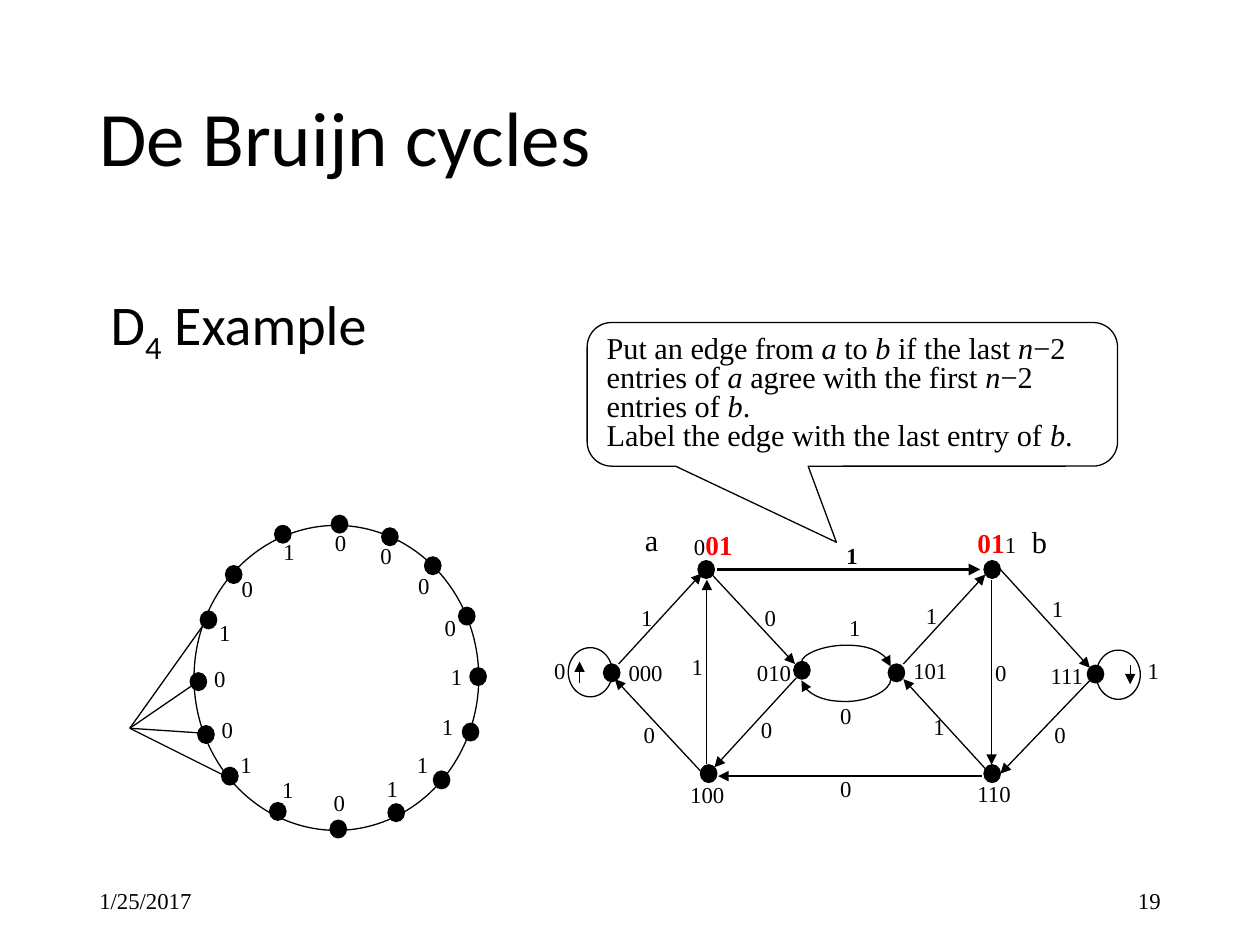
from lxml.etree import SubElement
from pptx import Presentation
from pptx.dml.color import RGBColor
from pptx.enum.shapes import MSO_CONNECTOR, MSO_SHAPE
from pptx.enum.text import MSO_ANCHOR, MSO_AUTO_SIZE, PP_ALIGN
from pptx.oxml.ns import qn
from pptx.util import Inches, Pt

BLACK, RED = "000000", "FF0000"
SERIF, SANS = "Times New Roman", "Calibri"
DOT_W, DOT_H = 0.13, 0.14
DIGIT_W = {"0": 0.25, "1": 0.2}


def rgb(hex_color):
    return RGBColor.from_string(hex_color)


class Board:
    """Holds the style and the slide being drawn."""

    def __init__(self, slide, line_width=0.75, size=13, font=SERIF):
        self.s = slide
        self.line_width = line_width
        self.size = size
        self.font = font

    def run(self, p, text, size=None, font=None, color=BLACK, bold=False, italic=False):
        r = p.add_run()
        r.text = text
        r.font.size = Pt(size or self.size)
        r.font.name = font or self.font
        r.font.color.rgb = rgb(color)
        r.font.bold = bold
        r.font.italic = italic
        return r

    def box(self, x, y, w, h, anchor=MSO_ANCHOR.TOP, wrap=True, grow=True):
        """Adds a text box and returns its first paragraph."""
        tf = self.s.shapes.add_textbox(Inches(x), Inches(y), Inches(w), Inches(h)).text_frame
        tf.word_wrap = wrap
        tf.vertical_anchor = anchor
        tf.auto_size = MSO_AUTO_SIZE.SHAPE_TO_FIT_TEXT if grow else MSO_AUTO_SIZE.NONE
        return tf.paragraphs[0]

    def label(self, x, y, text, w=None, h=0.32, wrap=True, **style):
        p = self.box(x, y, w or DIGIT_W[text], h, wrap=wrap)
        self.run(p, text, **style)

    def shape(self, kind, x, y, w, h, fill=None):
        sp = self.s.shapes.add_shape(kind, Inches(x), Inches(y), Inches(w), Inches(h))
        sp.shadow.inherit = False
        if fill:
            sp.fill.solid()
            sp.fill.fore_color.rgb = rgb(fill)
        else:
            sp.fill.background()
        sp.line.color.rgb = rgb(BLACK)
        sp.line.width = Pt(self.line_width)
        return sp

    def dot(self, x, y):
        self.shape(MSO_SHAPE.OVAL, x, y, DOT_W, DOT_H, BLACK)

    def line(self, x1, y1, x2, y2, arrow=True, width=None, kind=MSO_CONNECTOR.STRAIGHT):
        c = self.s.shapes.add_connector(kind, Inches(x1), Inches(y1), Inches(x2), Inches(y2))
        c.line.color.rgb = rgb(BLACK)
        c.line.width = Pt(width or self.line_width)
        if arrow:
            SubElement(c.line._get_or_add_ln(), qn("a:tailEnd"), type="triangle")
        SubElement(c._element.spPr, qn("a:effectLst"))
        return c

    def arc(self, x1, y1, x2, y2, bulge):
        """Curved arrow that leaves and arrives vertically, bulging by inches."""
        w, h = abs(y2 - y1), abs(x2 - x1)
        left, top = (x1 + x2 - w) / 2, (y1 + y2 - h) / 2
        c = self.line(left, top, left + w, top + h, kind=MSO_CONNECTOR.CURVE)
        xfrm = c._element.spPr.find(qn("a:xfrm"))
        xfrm.set("rot", "5400000")
        if x2 > x1:
            xfrm.set("flipV", "1")
        geom = c._element.spPr.find(qn("a:prstGeom"))
        av = geom.find(qn("a:avLst"))
        if av is None:
            av = SubElement(geom, qn("a:avLst"))
        SubElement(av, qn("a:gd"), name="adj1", fmla=f"val {round(bulge / w * 100000)}")


def draw_cycle(b):
    # Dot position, its digit and the digit's position, clockwise from the top
    beads = [
        (2.63, 4.09, "0", 2.56, 4.15), (3.03, 4.19, "0", 2.92, 4.25),
        (3.37, 4.42, "0", 3.22, 4.49), (3.64, 4.82, "0", 3.43, 4.82),
        (3.73, 5.30, "1", 3.48, 5.21), (3.67, 5.74, "1", 3.41, 5.61),
        (3.44, 6.12, "1", 3.21, 5.91), (3.08, 6.38, "1", 2.97, 6.10),
        (2.62, 6.51, "0", 2.55, 6.21), (2.14, 6.37, "1", 2.14, 6.11),
        (1.76, 6.09, "1", 1.81, 5.91), (1.57, 5.76, "0", 1.66, 5.63),
        (1.51, 5.34, "0", 1.60, 5.23), (1.59, 4.85, "1", 1.64, 4.86),
        (1.79, 4.49, "0", 1.82, 4.51), (2.18, 4.17, "1", 2.15, 4.22),
    ]
    b.shape(MSO_SHAPE.OVAL, 1.54, 4.17, 2.26, 2.42)
    for x, y, digit, label_x, label_y in beads:
        b.dot(x, y)
        b.label(label_x, label_y, digit)
    # Fan marking four consecutive digits
    for x, y in [(1.65, 4.91), (1.57, 5.41), (1.63, 5.82), (1.81, 6.17)]:
        b.line(x, y, 1.03, 5.78, arrow=False)


def draw_graph(b):
    # Vertices
    for x, y in [(5.54, 4.45), (7.81, 4.45), (4.79, 5.27), (6.30, 5.25),
                 (7.05, 5.27), (8.63, 5.28), (5.56, 6.07), (7.81, 6.07)]:
        b.dot(x, y)

    # Straight edges
    b.line(5.69, 4.52, 7.78, 4.52, width=2.25)
    for edge in [
        (7.79, 6.16, 5.70, 6.16), (7.87, 4.60, 7.87, 6.07), (5.61, 6.06, 5.61, 4.60),
        (5.65, 4.56, 6.31, 5.27), (6.32, 5.38, 5.67, 6.09), (7.17, 5.27, 7.82, 4.56),
        (7.82, 6.10, 7.17, 5.39), (4.91, 5.27, 5.57, 4.55), (5.56, 6.12, 4.88, 5.39),
        (7.94, 4.52, 8.65, 5.30), (8.66, 5.39, 7.94, 6.14),
    ]:
        b.line(*edge)

    # Curved edges and loops
    b.arc(6.36, 5.26, 7.07, 5.29, -0.14)
    b.arc(7.07, 5.39, 6.36, 5.40, 0.18)
    b.shape(MSO_SHAPE.OVAL, 4.51, 5.14, 0.35, 0.39)
    b.shape(MSO_SHAPE.OVAL, 8.70, 5.16, 0.35, 0.39)
    b.line(4.60, 5.42, 4.60, 5.25)
    b.line(8.97, 5.28, 8.97, 5.43)

    # Edge labels
    edge_labels = {
        "0": [(4.30, 5.16), (5.01, 5.67), (5.94, 5.63), (5.97, 4.74),
              (6.57, 6.10), (6.57, 5.52), (7.80, 5.18), (8.27, 5.67)],
        "1": [(4.99, 4.74), (5.39, 5.13), (6.64, 4.82), (7.25, 4.73),
              (8.25, 4.67), (9.01, 5.16), (7.31, 5.61)],
    }
    for digit, places in edge_labels.items():
        for x, y in places:
            b.label(x, y, digit)
    b.label(6.62, 4.25, "1", bold=True)

    # Vertex labels
    for x, y, name in [(4.89, 5.18, "000"), (5.38, 6.15, "100"), (5.91, 5.18, "010"),
                       (7.15, 5.16, "101"), (7.66, 6.14, "110"), (8.24, 5.20, "111")]:
        b.label(x, y, name, w=0.47, wrap=False)

    # Vertex labels with the shared digits in red
    shared = dict(size=15.6, color=RED, bold=True)
    for x, y, pieces in [(5.41, 4.14, [("0", {}), ("01", shared)]),
                         (7.66, 4.13, [("01", shared), ("1", {})])]:
        p = b.box(x, y, 0.6, 0.36)
        for text, style in pieces:
            b.run(p, text, **style)
    b.label(5.02, 4.09, "a", w=0.34, h=0.39, size=17.3)
    b.label(8.09, 4.10, "b", w=0.31, h=0.39, size=17.3)


def draw_callout(b):
    sp = b.shape(MSO_SHAPE.ROUNDED_RECTANGULAR_CALLOUT, 4.66, 2.56, 4.21, 1.14)
    for i, value in enumerate((-0.03, 1.03, 0.17)):
        sp.adjustments[i] = value
    tf = sp.text_frame
    tf.word_wrap = True
    tf.vertical_anchor = MSO_ANCHOR.TOP
    # Plain and italic pieces alternate
    rules = [
        ["Put an edge from ", "a", " to ", "b", " if the last ", "n", "−2 entries of ", "a",
         " agree with the first ", "n", "−2 entries of ", "b", "."],
        ["Label the edge with the last entry of ", "b", "."],
    ]
    for i, pieces in enumerate(rules):
        p = tf.add_paragraph() if i else tf.paragraphs[0]
        p.alignment = PP_ALIGN.LEFT
        p.line_spacing = 0.8
        for j, text in enumerate(pieces):
            b.run(p, text, size=17.3, italic=j % 2 == 1)


def main():
    prs = Presentation()
    prs.slide_width, prs.slide_height = Inches(10), Inches(7.5)
    b = Board(prs.slides.add_slide(prs.slide_layouts[6]))
    # Footer
    for x, text, align in [(0.69, "1/25/2017", PP_ALIGN.LEFT), (7.06, "19", PP_ALIGN.RIGHT)]:
        p = b.box(x, 6.95, 2.25, 0.4, anchor=MSO_ANCHOR.MIDDLE, grow=False)
        p.alignment = align
        b.run(p, text)
    # Title
    p = b.box(0.69, 0.4, 8.62, 1.45, anchor=MSO_ANCHOR.MIDDLE, grow=False)
    p.line_spacing = 0.9
    b.run(p, "De Bruijn cycles", size=44, font=SANS)
    # Diagrams
    draw_cycle(b)
    draw_graph(b)
    draw_callout(b)
    # Subtitle
    p = b.box(0.78, 2.25, 3.01, 0.64)
    for text in ("D", "4", " Example"):
        r = b.run(p, text, size=32, font=SANS)
        if text == "4":
            r.font._element.set("baseline", "-25000")
    prs.save("out.pptx")


if __name__ == "__main__":
    main()
